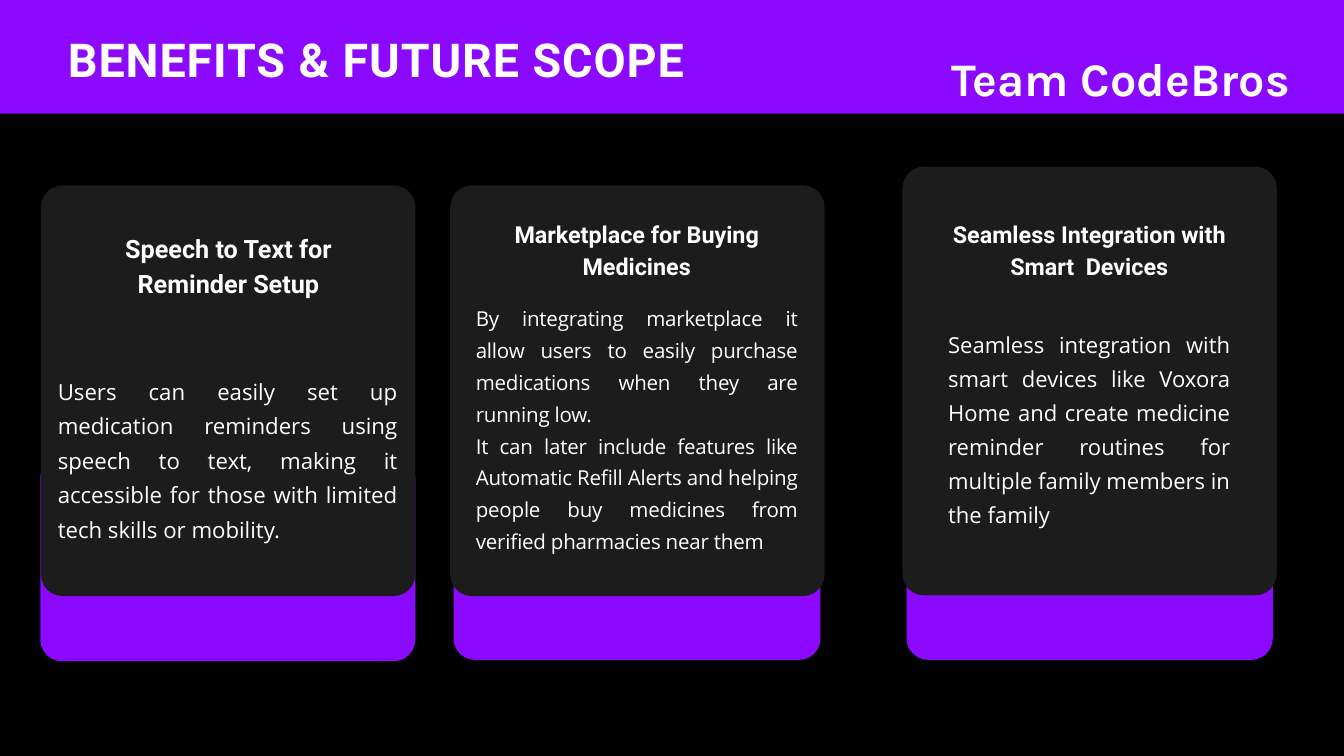
from dataclasses import dataclass

import pptx
import pptx.dml.color
import pptx.enum.shapes
import pptx.enum.text
import pptx.oxml.ns
import pptx.util
from pptx.util import Inches

RGBColor = pptx.dml.color.RGBColor
Align = pptx.enum.text.PP_ALIGN
Shape = pptx.enum.shapes.MSO_SHAPE

BLACK = RGBColor(0x00, 0x00, 0x00)
PURPLE = RGBColor(0x8C, 0x09, 0xFF)
CHARCOAL = RGBColor(0x1C, 0x1C, 0x1C)
WHITE = RGBColor(0xFF, 0xFF, 0xFF)
CORNER_RADIUS = 0.32


@dataclass(frozen=True)
class Box:
    left: float
    top: float
    width: float
    height: float

    def lengths(self) -> list[int]:
        return [Inches(n) for n in (self.left, self.top, self.width, self.height)]


@dataclass(frozen=True)
class Style:
    font: str
    size: float
    leading: float
    align: Align
    bold: bool = False
    tracking: float = 0


@dataclass(frozen=True)
class Text:
    box: Box
    style: Style
    paragraphs: tuple[str, ...]


@dataclass(frozen=True)
class Benefit:
    base: Box
    panel: Box
    heading: Text
    body: Text


def heading_style(size: float, leading: float) -> Style:
    return Style("Roboto", size, leading, Align.CENTER, bold=True)


def body_style(size: float, leading: float, tracking: float = 0) -> Style:
    return Style("Open Sans", size, leading, Align.JUSTIFY, tracking=tracking)


TITLE = Text(
    Box(1.01, 0.32, 11.78, 0.93),
    Style("Roboto", 50, 70, Align.LEFT, bold=True, tracking=1),
    ("BENEFITS & FUTURE SCOPE",),
)
TEAM = Text(
    Box(13.96, 0.6, 5.44, 0.94),
    Style("Karla", 50, 70, Align.CENTER, bold=True),
    ("Team CodeBros",),
)
BENEFITS = [
    Benefit(
        Box(0.6, 6.78, 5.58, 3.06),
        Box(0.61, 2.76, 5.57, 6.11),
        Text(Box(1.15, 3.39, 4.5, 1.06), heading_style(27, 37.8),
             ("Speech to Text for Reminder Setup",)),
        Text(Box(0.86, 5.51, 5.05, 2.59), body_style(23.8, 36.9),
             ("Users can easily set up medication reminders using speech to text, "
              "making it accessible for those with limited tech skills or mobility.",)),
    ),
    Benefit(
        Box(6.75, 6.53, 5.46, 3.29),
        Box(6.7, 2.76, 5.57, 6.11),
        Text(Box(7.06, 3.2, 4.83, 0.94), heading_style(25, 35),
             ("Marketplace for Buying Medicines",)),
        Text(Box(7.08, 4.45, 4.79, 3.73), body_style(22, 34.1, -0.2),
             ("By integrating marketplace it allow users to easily purchase "
              "medications when they are running low.",
              "It can later include features like Automatic Refill Alerts and helping "
              "people buy medicines from verified pharmacies near them")),
    ),
    Benefit(
        Box(13.49, 5.62, 5.45, 4.2),
        Box(13.43, 2.48, 5.57, 6.38),
        Text(Box(13.96, 3.2, 4.5, 0.94), heading_style(25, 35),
             ("Seamless Integration with Smart  Devices",)),
        Text(Box(14.11, 4.82, 4.2, 2.98), body_style(23.6, 36.5),
             ("Seamless integration with smart devices like Voxora Home and create "
              "medicine reminder routines for multiple family members in the family",)),
    ),
]


def draw_panel(slide: pptx.slide.Slide, box: Box, color: RGBColor, rounded: bool = True) -> None:
    kind = Shape.ROUNDED_RECTANGLE if rounded else Shape.RECTANGLE
    panel = slide.shapes.add_shape(kind, *box.lengths())
    if rounded:
        panel.adjustments[0] = CORNER_RADIUS / min(box.width, box.height)
    panel.shadow.inherit = False
    panel.fill.solid()
    panel.fill.fore_color.rgb = color
    panel.line.fill.background()


def fill_text(frame: pptx.text.text.TextFrame, text: Text) -> None:
    style = text.style
    frame.word_wrap = True
    frame.auto_size = pptx.enum.text.MSO_AUTO_SIZE.NONE
    frame.vertical_anchor = pptx.enum.text.MSO_ANCHOR.TOP
    frame.margin_left = frame.margin_right = frame.margin_top = frame.margin_bottom = 0
    frame.text = "\n".join(text.paragraphs)
    for paragraph in frame.paragraphs:
        paragraph.alignment = style.align
        paragraph.line_spacing = pptx.util.Pt(style.leading)
        paragraph.space_before = paragraph.space_after = pptx.util.Pt(0)
        paragraph.font.name = style.font
        paragraph.font.size = pptx.util.Pt(style.size)
        paragraph.font.bold = style.bold
        paragraph.font.color.rgb = WHITE
        if style.tracking:
            defaults = paragraph._p.pPr.find(pptx.oxml.ns.qn("a:defRPr"))
            defaults.set("spc", str(round(style.tracking * 100)))


def draw_text(slide: pptx.slide.Slide, text: Text) -> None:
    fill_text(slide.shapes.add_textbox(*text.box.lengths()).text_frame, text)


def draw_title(slide: pptx.slide.Slide, text: Text) -> None:
    title = slide.shapes.title
    title.left, title.top, title.width, title.height = text.box.lengths()
    fill_text(title.text_frame, text)
    slide.shapes._spTree.append(title._element)


def main() -> None:
    deck = pptx.Presentation()
    deck.slide_width = Inches(20)
    deck.slide_height = Inches(11.25)
    slide = deck.slides.add_slide(deck.slide_layouts.get_by_name("Title Only"))
    slide.background.fill.solid()
    slide.background.fill.fore_color.rgb = BLACK

    for benefit in BENEFITS:
        draw_panel(slide, benefit.base, PURPLE)
        draw_panel(slide, benefit.panel, CHARCOAL)
    draw_panel(slide, Box(0, 0, 20, 1.69), PURPLE, rounded=False)

    draw_title(slide, TITLE)
    for benefit in BENEFITS:
        draw_text(slide, benefit.heading)
        draw_text(slide, benefit.body)
    draw_text(slide, TEAM)
    deck.save("out.pptx")


if __name__ == "__main__":
    main()
